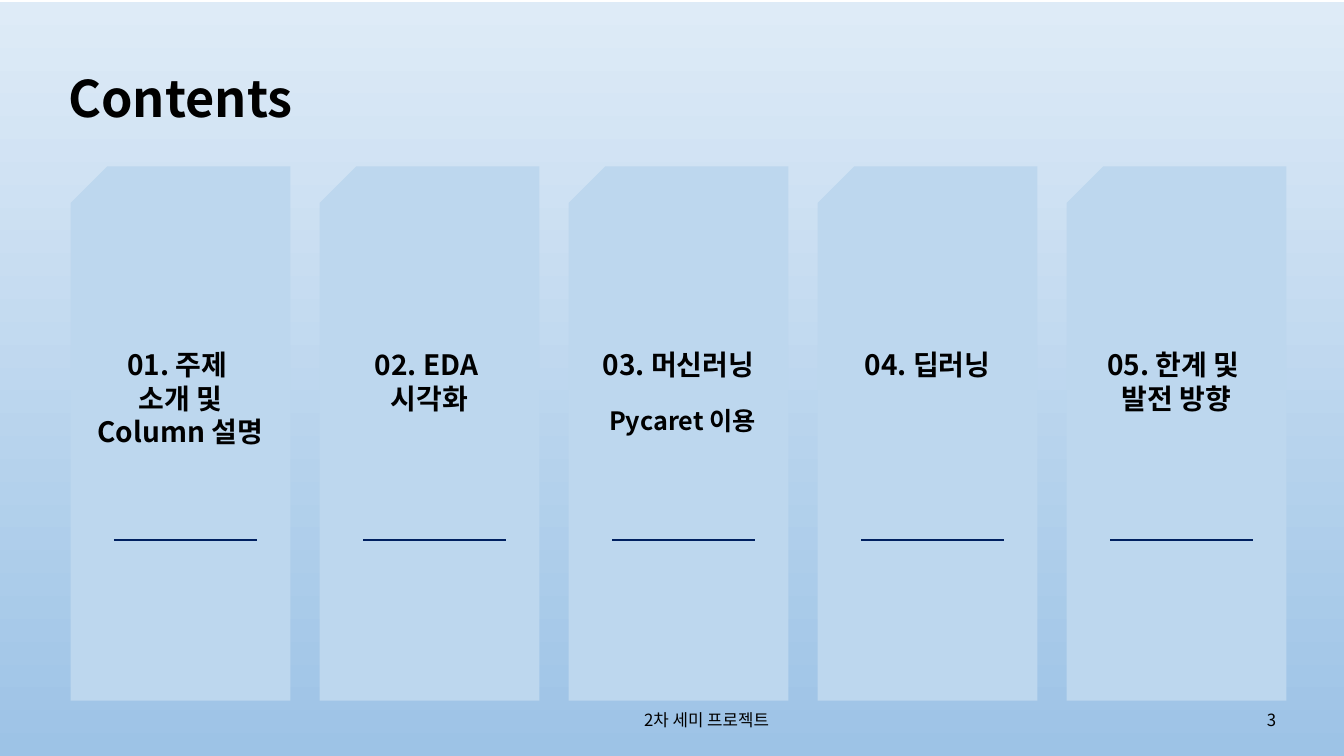
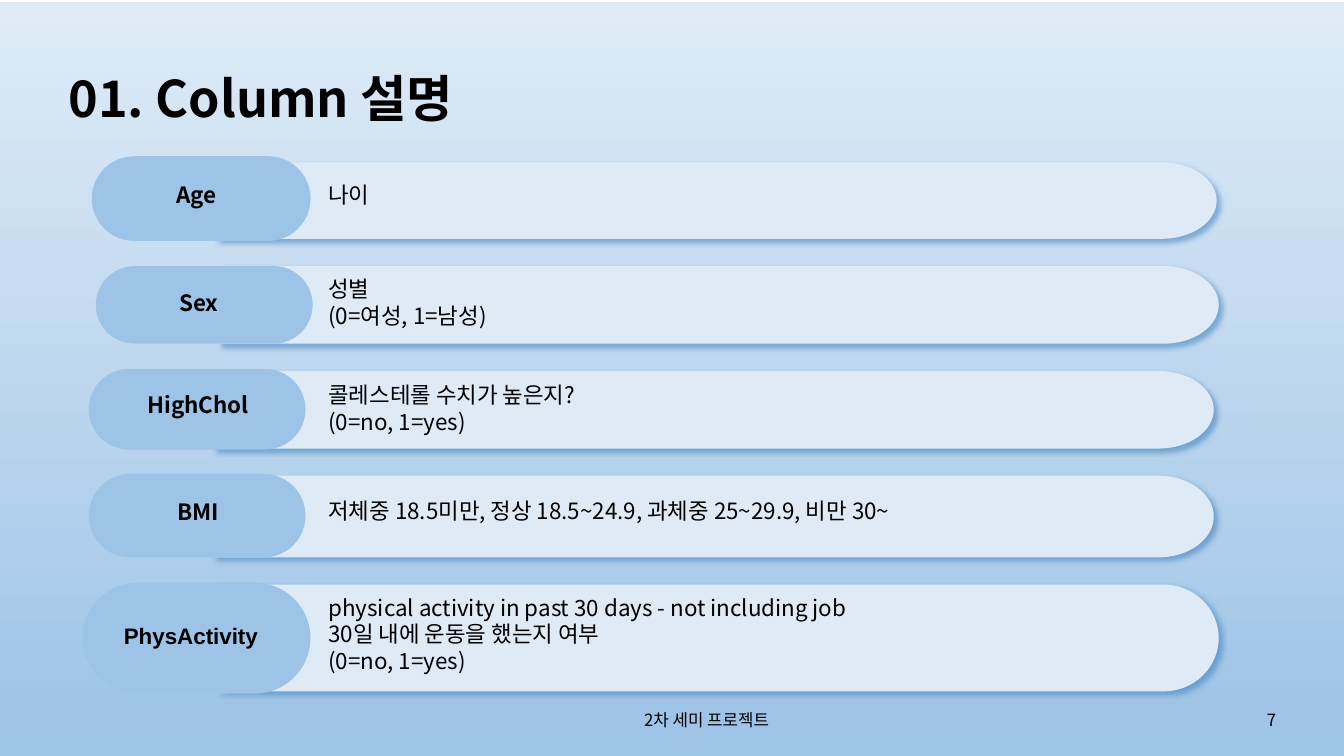
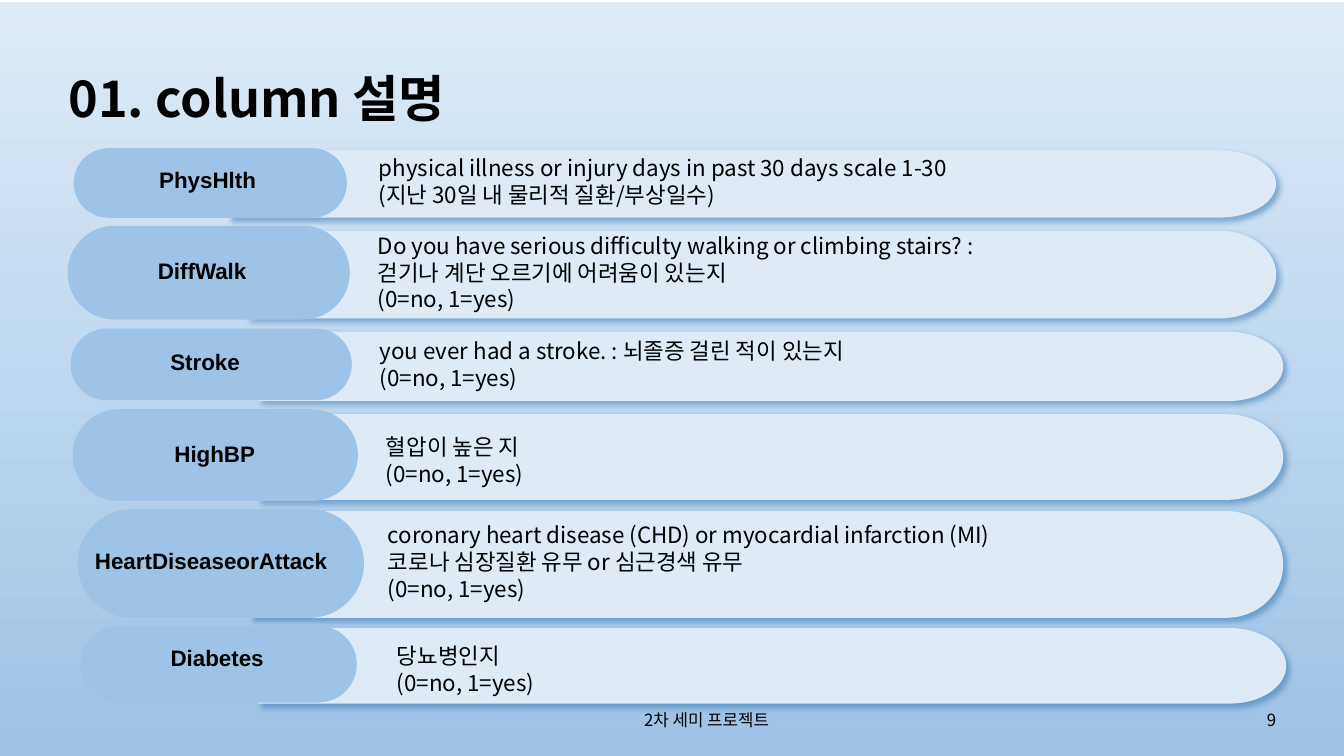
"""Three slides of a project report; all lengths are percentages of the slide's size."""
import math
from dataclasses import dataclass

from lxml import etree
from pptx import Presentation
from pptx import util as u
from pptx.dml.color import RGBColor
from pptx.enum import shapes, text
from pptx.oxml.ns import qn

SLIDE_WIDTH, SLIDE_HEIGHT = u.Inches(13.333), u.Inches(7.5)

BLACK = RGBColor(0x00, 0x00, 0x00)
PALE = RGBColor(0xDE, 0xEB, 0xF7)
CARD_BLUE = RGBColor(0xBD, 0xD7, 0xEE)
PILL_BLUE = RGBColor(0x9D, 0xC3, 0xE6)
NAVY = RGBColor(0x00, 0x20, 0x60)
SHADOW_BLUE = RGBColor(0x2E, 0x75, 0xB6)

KOREAN_FONT = "Noto Sans CJK KR"
LATIN_FONT = "Arial"
FOOTER = "2차 세미 프로젝트"
YES_NO = "(0=no, 1=yes)"

CARD_LEFT, CARD_PITCH, CARD_WIDTH = 5.25, 18.53, 16.35
CARD_TOP, CARD_HEIGHT = 22, 70.67
CARD_TEXT_TOP, CARD_NOTE_TOP = 45.33, 52.93
RULE_INSET, RULE_LENGTH, RULE_TOP = 3.23, 10.65, 71.47
LABEL_WIDTH, LABEL_HEIGHT = 24, 4.93
DESCRIPTION_WIDTH = 68


@dataclass
class Row:
    """A column name on a pill, with its description on the bar behind."""
    label: str
    description: tuple
    bar: tuple
    pill: tuple
    label_centre: tuple
    description_at: tuple
    font: str = LATIN_FONT


CARDS = [
    (("01. 주제 ", "소개 및", "Column 설명"), None),
    (("02. EDA ", "시각화"), None),
    (("03. 머신러닝",), "Pycaret 이용"),
    (("04. 딥러닝",), None),
    (("05. 한계 및 ", "발전 방향"), None),
]

GENERAL_ROWS = [
    Row("Age", ("나이",),
        (16.05, 21.47, 74.48, 10.13), (6.83, 20.67, 16.28, 11.2),
        (14.63, 25.8), (23.7, 23.33), KOREAN_FONT),
    Row("Sex", ("성별", "(0=여성, 1=남성)"),
        (16.2, 35.2, 74.48, 10.27), (7.13, 35.2, 16.13, 10.27),
        (14.81, 40.07), (23.7, 35.73), KOREAN_FONT),
    Row("HighChol", ("콜레스테롤 수치가 높은지?", YES_NO),
        (15.83, 49.07, 74.48, 10.27), (6.6, 48.8, 16.13, 10.67),
        (14.74, 53.53), (23.7, 49.73), KOREAN_FONT),
    Row("BMI", ("저체중 18.5미만, 정상 18.5~24.9, 과체중 25~29.9, 비만 30~",),
        (15.83, 62.93, 74.48, 10.8), (6.6, 62.67, 16.13, 11.07),
        (14.74, 67.67), (23.7, 65.07), KOREAN_FONT),
    Row("PhysActivity",
        ("physical activity in past 30 days - not including job",
         "30일 내에 운동을 했는지 여부", YES_NO),
        (16.2, 77.33, 74.48, 14.13), (6.15, 77.07, 16.95, 14.67),
        (14.21, 84.07), (23.7, 77.87)),
]

HEALTH_ROWS = [
    Row("PhysHlth",
        ("physical illness or injury days in past 30 days scale 1-30",
         "(지난 30일 내 물리적 질환/부상일수)"),
        (16.95, 19.87, 78, 8.93), (5.48, 19.6, 20.33, 9.2),
        (15.45, 23.8), (27.45, 19.73)),
    Row("DiffWalk",
        ("Do you have serious difficulty walking or climbing stairs? :",
         "걷기나 계단 오르기에 어려움이 있는지", YES_NO),
        (18.38, 30.53, 76.58, 11.6), (5.03, 29.87, 21, 12.4),
        (15.04, 35.8), (27.38, 30)),
    Row("Stroke", ("you ever had a stroke. : 뇌졸증 걸린 적이 있는지", YES_NO),
        (19.2, 43.87, 76.28, 9.2), (5.25, 43.47, 20.93, 9.47),
        (15.26, 47.8), (27.53, 44)),
    Row("HighBP", ("혈압이 높은 지", YES_NO),
        (19.2, 54.8, 76.28, 11.33), (5.4, 54.13, 21.23, 12.13),
        (15.98, 59.93), (27.98, 56.67)),
    Row("HeartDiseaseorAttack",
        ("coronary heart disease (CHD) or myocardial infarction (MI)",
         "코로나 심장질환 유무 or 심근경색 유무", YES_NO),
        (18.53, 67.6, 76.95, 14.13), (5.78, 67.33, 21.3, 14.4),
        (15.71, 74.2), (28.13, 68.27)),
    Row("Diabetes", ("당뇨병인지", YES_NO),
        (19.2, 83.07, 76.5, 10), (6, 82.8, 20.55, 10.13),
        (16.16, 87), (28.8, 84.27)),
]


def across(percent):
    return round(SLIDE_WIDTH * percent / 100)


def down(percent):
    return round(SLIDE_HEIGHT * percent / 100)


def box(left, top, width, height):
    return across(left), down(top), across(width), down(height)


def add_text(slide, place, lines, size=16, font=KOREAN_FONT, bold=False,
             align=text.PP_ALIGN.LEFT, anchor=text.MSO_ANCHOR.TOP, spacing=1.0):
    """Add a text box with one paragraph for each line."""
    frame = slide.shapes.add_textbox(*box(*place)).text_frame
    frame.word_wrap = True
    frame.vertical_anchor = anchor
    for index, line in enumerate(lines):
        paragraph = frame.add_paragraph() if index else frame.paragraphs[0]
        paragraph.alignment = align
        paragraph.line_spacing = spacing
        run = paragraph.add_run()
        run.text = line
        run.font.size = u.Pt(size)
        run.font.bold = bold
        run.font.color.rgb = BLACK
        run.font.name = font
        east_asian = etree.SubElement(run.font._element, qn("a:ea"))
        east_asian.set("typeface", font)


def paint(shape, color):
    shape.shadow.inherit = False
    shape.fill.solid()
    shape.fill.fore_color.rgb = color
    shape.line.fill.background()


def add_shape(slide, kind, place, color, adjustments):
    shape = slide.shapes.add_shape(kind, *box(*place))
    paint(shape, color)
    for index, value in enumerate(adjustments):
        shape.adjustments[index] = value
    return shape


def cast_shadow(shape):
    effects = shape.element.spPr.find(qn("a:effectLst"))
    shadow = etree.SubElement(
        effects, qn("a:outerShdw"), blurRad=str(u.Pt(4)), dist=str(u.Pt(3)),
        dir=str(45 * 60000), algn="tl", rotWithShape="0")
    color = etree.SubElement(shadow, qn("a:srgbClr"), val=str(SHADOW_BLUE))
    etree.SubElement(color, qn("a:alpha"), val="50000")


def add_bar(slide, place):
    """Add a bar with a square left end and an elliptical right end."""
    left, top, width, height = box(*place)
    tip, steps = 0.055 * width, 32
    angles = [math.pi * (step / steps - 0.5) for step in range(steps + 1)]
    curve = [(round(left + width - tip + tip * math.cos(angle)),
              round(top + height / 2 * (1 + math.sin(angle)))) for angle in angles]
    builder = slide.shapes.build_freeform(left, top)
    builder.add_line_segments(curve + [(left, top + height)], close=True)
    bar = builder.convert_to_shape()
    paint(bar, PALE)
    cast_shadow(bar)


def add_rule(slide, left, top, length):
    rule = slide.shapes.add_connector(
        shapes.MSO_CONNECTOR.STRAIGHT,
        across(left), down(top), across(left + length), down(top))
    rule.line.color.rgb = NAVY
    rule.line.width = u.Pt(1.5)
    etree.SubElement(rule.element.spPr, qn("a:effectLst"))


def add_base_slide(presentation, title, number):
    """Add a slide with the shared background, title and footer."""
    slide = presentation.slides.add_slide(presentation.slide_layouts[6])
    background = add_shape(slide, shapes.MSO_SHAPE.RECTANGLE,
                           (0, 0.27, 100, 99.73), PALE, ())
    background.fill.gradient()
    background.fill.gradient_angle = 270
    for stop, color in zip(background.fill.gradient_stops, (PALE, PILL_BLUE)):
        stop.color.rgb = color
    middle = text.MSO_ANCHOR.MIDDLE
    add_text(slide, (4.35, 7.07, 91.35, 12.53), [title], size=36, bold=True,
             anchor=middle, spacing=0.9)
    add_text(slide, (35.7, 92.53, 33.75, 5.33), [FOOTER], size=12,
             align=text.PP_ALIGN.CENTER, anchor=middle)
    add_text(slide, (73.2, 92.53, 22.5, 5.33), [str(number)], size=12,
             align=text.PP_ALIGN.RIGHT, anchor=middle)
    return slide


def add_card(slide, column, lines, note):
    left = CARD_LEFT + column * CARD_PITCH
    card = add_shape(slide, shapes.MSO_SHAPE.SNIP_ROUND_RECTANGLE,
                     (left, CARD_TOP, CARD_WIDTH, CARD_HEIGHT), CARD_BLUE, (0, 0.167))
    card.element.spPr.find(qn("a:xfrm")).set("flipH", "1")
    add_rule(slide, left + RULE_INSET, RULE_TOP, RULE_LENGTH)
    add_text(slide, (left, CARD_TEXT_TOP, CARD_WIDTH, 15), lines, size=20,
             bold=True, align=text.PP_ALIGN.CENTER)
    if note:
        add_text(slide, (left + 0.3, CARD_NOTE_TOP, CARD_WIDTH, 5.33), [note],
                 size=18, bold=True, align=text.PP_ALIGN.CENTER)


def add_row(slide, row):
    add_bar(slide, row.bar)
    add_shape(slide, shapes.MSO_SHAPE.ROUNDED_RECTANGLE, row.pill, PILL_BLUE, (0.5,))
    centre_x, centre_y = row.label_centre
    add_text(slide, (centre_x - LABEL_WIDTH / 2, centre_y - LABEL_HEIGHT / 2,
                     LABEL_WIDTH, LABEL_HEIGHT),
             [row.label], font=row.font, bold=True,
             align=text.PP_ALIGN.CENTER, anchor=text.MSO_ANCHOR.MIDDLE)
    height = 1.3 + 3.6 * len(row.description)
    add_text(slide, (*row.description_at, DESCRIPTION_WIDTH, height), row.description)


def main():
    presentation = Presentation()
    presentation.slide_width, presentation.slide_height = SLIDE_WIDTH, SLIDE_HEIGHT

    contents = add_base_slide(presentation, "Contents", 3)
    for column, (lines, note) in enumerate(CARDS):
        add_card(contents, column, lines, note)

    for title, number, rows in (("01. Column 설명", 7, GENERAL_ROWS),
                                ("01. column 설명", 9, HEALTH_ROWS)):
        slide = add_base_slide(presentation, title, number)
        for row in rows:
            add_row(slide, row)

    presentation.save("out.pptx")


if __name__ == "__main__":
    main()
